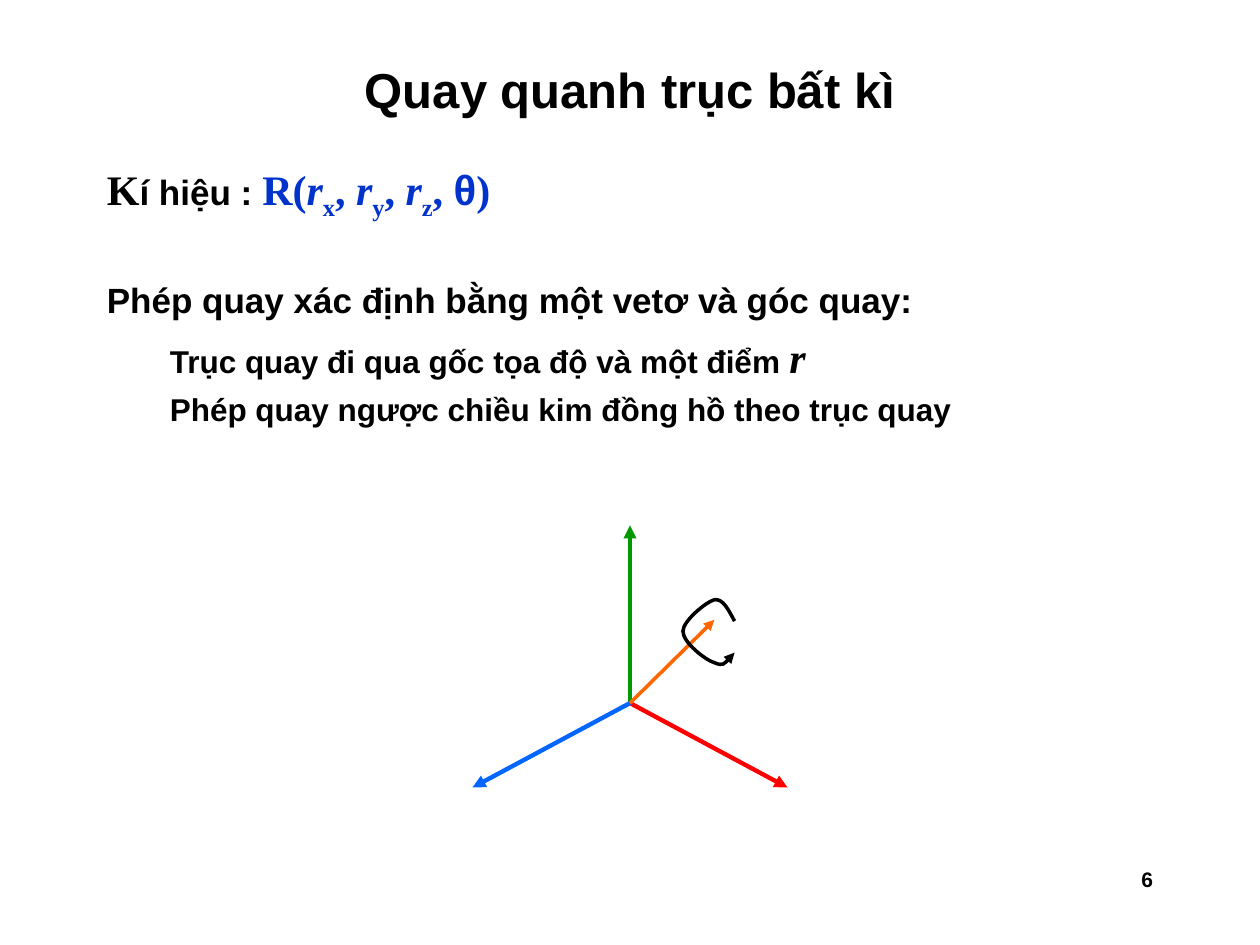
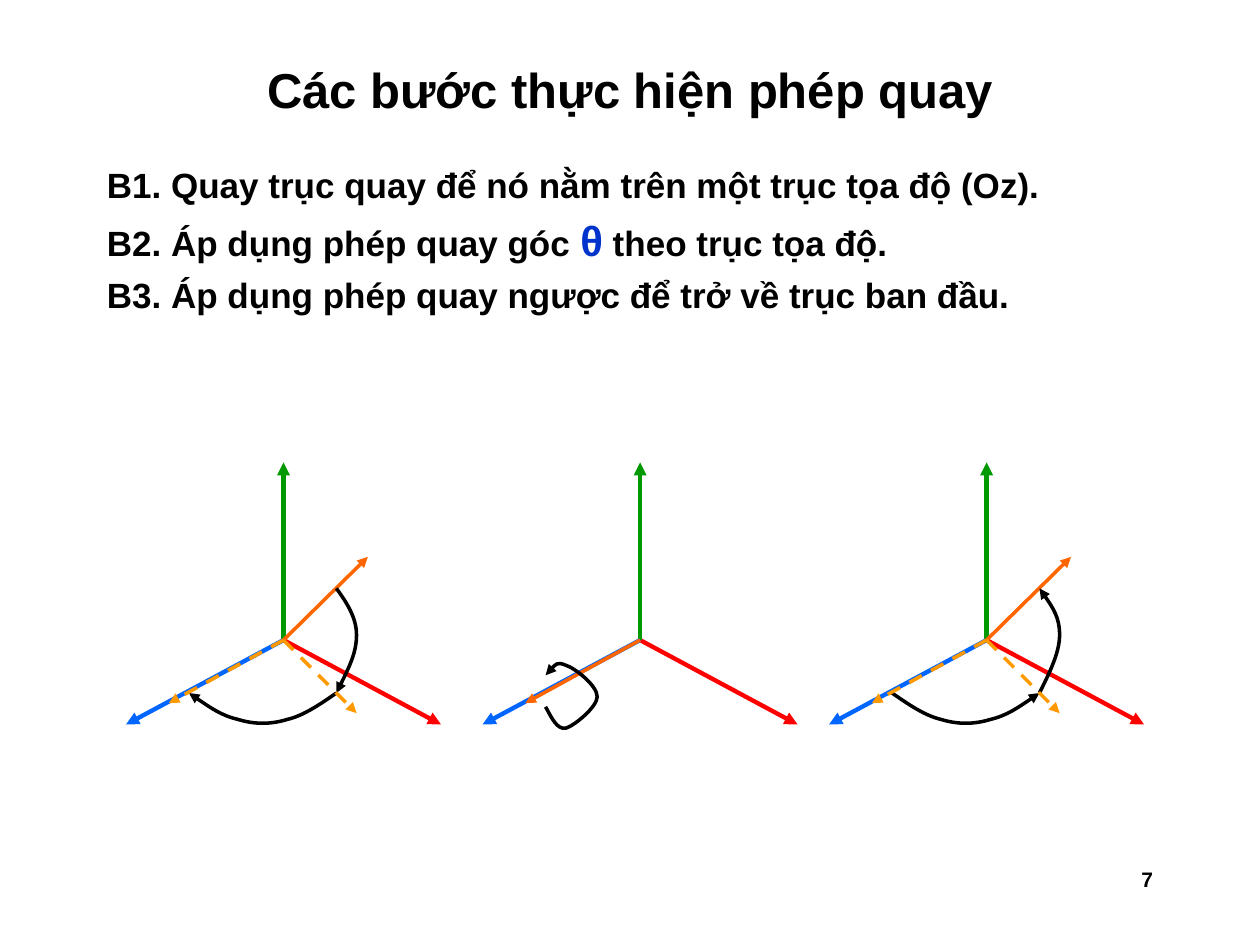
"""Build two slides on rotating about an arbitrary axis."""
from lxml.etree import SubElement
from pptx import Presentation
from pptx.dml.color import RGBColor
from pptx.enum.dml import MSO_LINE
from pptx.enum.shapes import MSO_CONNECTOR
from pptx.enum.text import MSO_ANCHOR, PP_ALIGN
from pptx.oxml.ns import qn
from pptx.util import Inches, Pt

BLACK = RGBColor(0x00, 0x00, 0x00)
NAVY = RGBColor(0x00, 0x33, 0xCC)
RED = RGBColor(0xFF, 0x00, 0x00)
GREEN = RGBColor(0x00, 0x99, 0x00)
BLUE = RGBColor(0x00, 0x66, 0xFF)
ORANGE = RGBColor(0xFF, 0x66, 0x00)
AMBER = RGBColor(0xFF, 0x99, 0x00)
SANS, SERIF = "Arial", "Times New Roman"

AXES = [((1.25, 0.67), RED), ((0, -1.41), GREEN), ((-1.25, 0.67), BLUE)]
LOOP = [(0, -0.12), (-0.05, -0.21), (-0.09, -0.3), (-0.16, -0.29),
        (-0.23, -0.27), (-0.41, -0.12), (-0.41, -0.04),
        (-0.41, 0.05), (-0.23, 0.19), (-0.16, 0.21),
        (-0.09, 0.24), (-0.05, 0.19), (0, 0.13)]
LOWER_ARC = [(0.42, 0.42), (0.29, 0.51), (0.16, 0.6), (0.03, 0.63),
             (-0.1, 0.67), (-0.23, 0.67), (-0.36, 0.63),
             (-0.49, 0.6), (-0.62, 0.51), (-0.75, 0.42)]
SIDE_ARC = [(0.42, -0.41), (0.5, -0.3), (0.58, -0.18), (0.58, -0.04),
            (0.58, 0.1), (0.5, 0.26), (0.42, 0.42)]


def add_arrow(shapes, origin, offsets, color, width=2, dash=None):
    """Draw an arrow: straight for two points, cubic Bézier curves for more."""
    pts = [(Inches(origin[0] + dx), Inches(origin[1] + dy)) for dx, dy in offsets]
    if len(pts) == 2:
        s = shapes.add_connector(MSO_CONNECTOR.STRAIGHT, *pts[0], *pts[1])
    else:
        fb = shapes.build_freeform(*pts[0])
        fb.add_line_segments(pts[1:], close=False)
        s = fb.convert_to_shape()
        s.fill.background()
        outline = next(s._element.iter(qn("a:path")))
        segments = outline.findall(qn("a:lnTo"))
        for i in range(0, len(segments), 3):
            bezier = SubElement(outline, qn("a:cubicBezTo"))
            for segment in segments[i:i + 3]:
                bezier.append(segment[0])
                outline.remove(segment)
    s.line.color.rgb = color
    s.line.width = Pt(width)
    if dash:
        s.line.dash_style = dash
    SubElement(s.line._get_or_add_ln(), qn("a:tailEnd"), type="triangle")
    SubElement(s._element.spPr, qn("a:effectLst"))


def add_slide(title, number, paragraphs):
    """Add a slide with its title, body text and page number; return its shapes."""
    shapes = prs.slides.add_slide(prs.slide_layouts[5]).shapes
    s = shapes.title
    s.left, s.top, s.width, s.height = map(Inches, (0.75, 0.33, 8.5, 0.75))
    body = shapes.add_textbox(Inches(0.75), Inches(1.25), Inches(8.5), Inches(5.42))
    page = shapes.add_textbox(Inches(7.17), Inches(6.83), Inches(2.08), Inches(0.5))
    s.text_frame.vertical_anchor = MSO_ANCHOR.MIDDLE
    for box, text, size, align in [(s, title, 28, PP_ALIGN.CENTER),
                                   (page, number, 12, PP_ALIGN.RIGHT)]:
        tf = box.text_frame
        tf.word_wrap = True
        p = tf.paragraphs[0]
        p.text, p.alignment = text, align
        p.font.name, p.font.size, p.font.bold = SANS, Pt(size), True
        p.font.color.rgb = BLACK

    tf = body.text_frame
    tf.word_wrap = True
    for i, (level, before, runs) in enumerate(paragraphs):
        p = tf.add_paragraph() if i else tf.paragraphs[0]
        p.level = level
        margin, indent = [(0.38, -0.38), (0.81, -0.31)][level]
        pPr = p._p.get_or_add_pPr()
        pPr.set("marL", str(Inches(margin)))
        pPr.set("indent", str(Inches(indent)))
        p.space_before = Pt(before)
        p.font.bold = True
        for text, size, font, color, style in runs:
            r = p.add_run()
            r.text = text
            r.font.size, r.font.name = Pt(size), font
            r.font.color.rgb = color
            if style == "italic":
                r.font.italic = True
            elif style == "sub":
                r.font._element.set("baseline", "-25000")
    return shapes


prs = Presentation()
prs.slide_width, prs.slide_height = Inches(10), Inches(7.5)

symbol = [("K", 24, SERIF, BLACK, ""), ("í hiệu : ", 20, SANS, BLACK, ""),
          ("R(", 24, SERIF, NAVY, "")]
for axis in "xyz":
    symbol += [("r", 24, SERIF, NAVY, "italic"), (axis, 24, SERIF, NAVY, "sub"),
               (", ", 24, SERIF, NAVY, "")]
symbol += [("θ", 24, SANS, NAVY, ""), (")", 24, SERIF, NAVY, "")]

rotation = add_slide("Quay quanh trục bất kì", "6", [
    (0, 0, symbol),
    (0, 33, [("Phép quay xác định bằng một vetơ và góc quay:", 20, SANS, BLACK, "")]),
    (1, 6, [("Trục quay đi qua gốc tọa độ và một điểm ", 18, SANS, BLACK, ""),
            ("r", 24, SERIF, BLACK, "italic")]),
    (1, 4.5, [("Phép quay ngược chiều kim đồng hồ theo trục quay", 18, SANS, BLACK, "")]),
])
steps = add_slide("Các bước thực hiện phép quay", "7", [
    (0, 0, [("B1. Quay trục quay để nó nằm trên một trục tọa độ (Oz).", 20, SANS, BLACK, "")]),
    (0, 5, [("B2. Áp dụng phép quay góc ", 20, SANS, BLACK, ""),
            ("θ", 24, SANS, NAVY, ""),
            (" theo trục tọa độ.", 20, SANS, BLACK, "")]),
    (0, 5, [("B3. Áp dụng phép quay ngược để trở về trục ban đầu.", 20, SANS, BLACK, "")]),
])

TILTED, ON_AXIS = (0.67, -0.66), (-0.91, 0.5)
for shapes, origin, tip in [(rotation, (5, 5.58), TILTED), (steps, (2.25, 5.08), TILTED),
                            (steps, (5.08, 5.08), ON_AXIS), (steps, (7.83, 5.08), TILTED)]:
    group = shapes.add_group_shape()
    for end, color in AXES:
        add_arrow(group.shapes, origin, [(0, 0), end], color, 2.5)
    add_arrow(shapes, origin, [(0, 0), tip], ORANGE)

add_arrow(rotation, (5.83, 5.05), LOOP, BLACK)
add_arrow(steps, (4.33, 5.49), [(-dx, -dy) for dx, dy in LOOP], BLACK)
for x, order in [(2.25, 1), (7.83, -1)]:
    for arc in (LOWER_ARC, SIDE_ARC):
        add_arrow(steps, (x, 5.08), arc[::order], BLACK)
    for end in ((0.58, 0.58), ON_AXIS):
        add_arrow(steps, (x, 5.08), [(0, 0), end], AMBER, dash=MSO_LINE.DASH)

prs.save("out.pptx")
